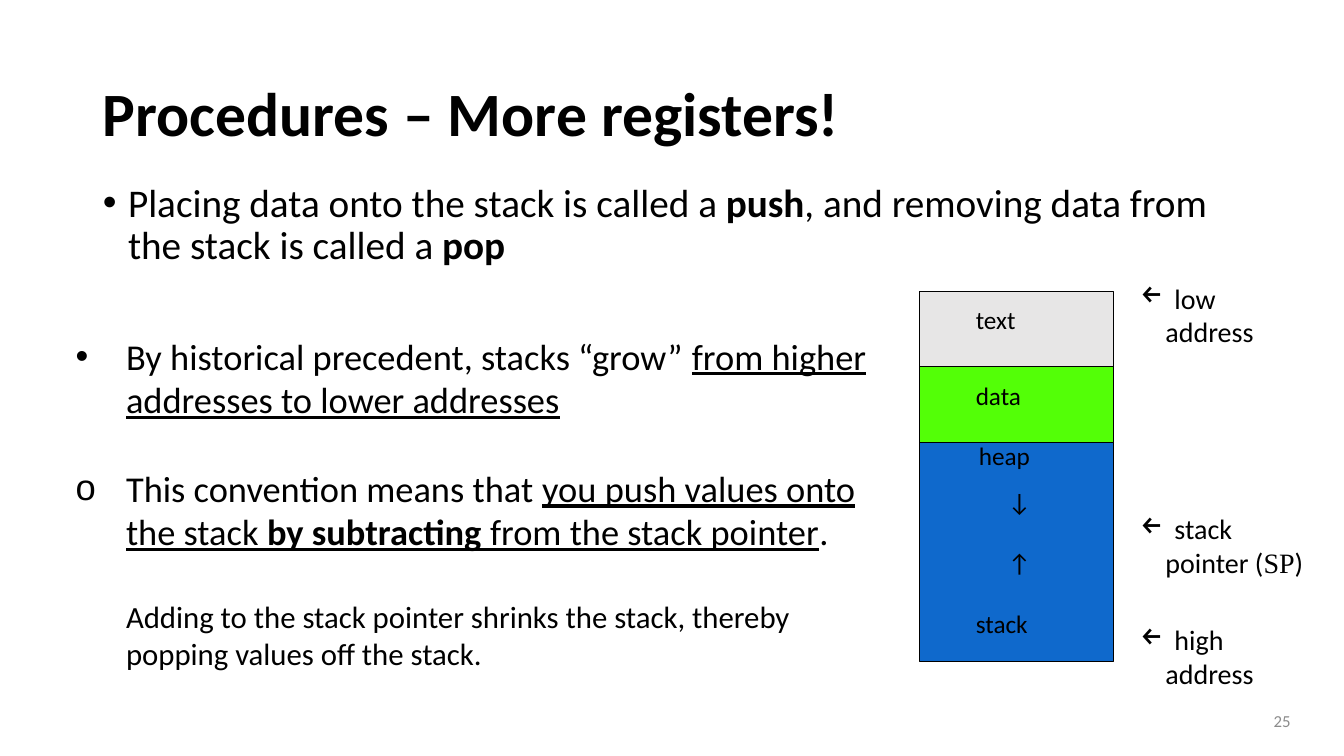
from dataclasses import dataclass

import lxml.etree
import pptx
import pptx.dml.color
import pptx.enum.shapes
import pptx.enum.text
import pptx.oxml.ns
import pptx.util

PX = 9144
BLACK = pptx.dml.color.RGBColor(0x00, 0x00, 0x00)
NUMBER_GREY = pptx.dml.color.RGBColor(0x8C, 0x8C, 0x8C)
TEXT_GREY = pptx.dml.color.RGBColor(0xE7, 0xE6, 0xE6)
DATA_GREEN = pptx.dml.color.RGBColor(0x53, 0xFF, 0x07)
STACK_BLUE = pptx.dml.color.RGBColor(0x0F, 0x69, 0xCC)
LEFT = pptx.enum.text.PP_ALIGN.LEFT
RIGHT = pptx.enum.text.PP_ALIGN.RIGHT
TOP = pptx.enum.text.MSO_ANCHOR.TOP
MIDDLE = pptx.enum.text.MSO_ANCHOR.MIDDLE


@dataclass
class Run:
    text: str
    bold: bool = False
    underline: bool = False
    font: str = "Calibri"


@dataclass
class Para:
    runs: list[Run]
    size: int
    margin: int = 0
    hang: int = 0
    bullet: str = ""
    before: int = 0
    spacing: float = 1.0
    level: int = 0
    align: pptx.enum.text.PP_ALIGN = LEFT
    color: pptx.dml.color.RGBColor = BLACK


@dataclass
class Box:
    left: int
    top: int
    width: int
    height: int


@dataclass
class Segment:
    height: int
    color: pptx.dml.color.RGBColor


@dataclass
class Label:
    text: str
    left: int
    top: int


@dataclass
class Pointer:
    top: int
    first: str
    second: list[Run]


TITLE = [Para([Run("Procedures – More registers!", bold=True)], 44, spacing=0.9)]
PUSH_POP = [
    Para([
        Run("Placing data onto the stack is called a "),
        Run("push", bold=True),
        Run(", and removing data from the stack is called a "),
        Run("pop", bold=True),
    ], 28, margin=25, hang=25, bullet="•", before=10, spacing=0.9),
]
GROWTH = [
    Para([
        Run("By historical precedent, stacks “grow” "),
        Run("from higher addresses to lower addresses", underline=True),
    ], 26, margin=50, hang=50, bullet="•"),
    Para([
        Run("This convention means that "),
        Run("you push values onto the stack ", underline=True),
        Run("by subtracting", bold=True, underline=True),
        Run(" from the stack pointer", underline=True),
        Run("."),
    ], 26, margin=50, hang=50, bullet="o", before=32),
    Para([
        Run("Adding to the stack pointer shrinks the stack, "
            "thereby popping values off the stack."),
    ], 22, margin=50, before=32, level=1),
]
NUMBER = [Para([Run("25")], 12, align=RIGHT, color=NUMBER_GREY)]

MEMORY = Box(912, 289, 192, 367)
SEGMENTS = [Segment(75, TEXT_GREY), Segment(75, DATA_GREEN), Segment(217, STACK_BLUE)]
LABELS = [
    Label("text", 958, 297),
    Label("data", 958, 372),
    Label("heap", 961, 432),
    Label("stack", 958, 599),
]
POINTERS = [
    Pointer(274, "low", [Run("address")]),
    Pointer(503, "stack", [Run("pointer ("), Run("SP", font="Times New Roman"), Run(")")]),
    Pointer(613, "high", [Run("address")]),
]


def place(sp, box: Box) -> None:
    sp.left, sp.top = box.left * PX, box.top * PX
    sp.width, sp.height = box.width * PX, box.height * PX


def write(sp, paras: list[Para], anchor=TOP) -> None:
    tf = sp.text_frame
    tf.word_wrap = True
    tf.auto_size = pptx.enum.text.MSO_AUTO_SIZE.NONE
    tf.vertical_anchor = anchor
    for i, para in enumerate(paras):
        p = tf.add_paragraph() if i else tf.paragraphs[0]
        p.alignment = para.align
        p.level = para.level
        p.line_spacing = para.spacing
        p.space_before = pptx.util.Pt(para.before)
        pPr = p._p.get_or_add_pPr()
        pPr.set("marL", str(para.margin * PX))
        pPr.set("indent", str(-para.hang * PX))
        tag = "a:buChar" if para.bullet else "a:buNone"
        bullet = lxml.etree.SubElement(pPr, pptx.oxml.ns.qn(tag))
        if para.bullet:
            bullet.set("char", para.bullet)
        for run in para.runs:
            r = p.add_run()
            r.text = run.text
            r.font.name = run.font
            r.font.size = pptx.util.Pt(para.size)
            r.font.bold = run.bold
            r.font.underline = run.underline
            r.font.color.rgb = para.color


def add_text(slide, box: Box, paras: list[Para], anchor=TOP) -> None:
    sp = slide.shapes.add_textbox(0, 0, 0, 0)
    place(sp, box)
    write(sp, paras, anchor)


def add_memory(slide) -> None:
    top = MEMORY.top
    for segment in SEGMENTS:
        sp = slide.shapes.add_shape(pptx.enum.shapes.MSO_SHAPE.RECTANGLE, 0, 0, 0, 0)
        place(sp, Box(MEMORY.left, top, MEMORY.width, segment.height))
        sp.shadow.inherit = False
        sp.fill.solid()
        sp.fill.fore_color.rgb = segment.color
        sp.line.color.rgb = BLACK
        sp.line.width = pptx.util.Pt(0.75)
        top += segment.height
    for label in LABELS:
        add_text(slide, Box(label.left, label.top, 104, 57), [Para([Run(label.text)], 18)])
    arrows = [Para([Run("↓")], 18), Para([Run("↑")], 18, before=22)]
    add_text(slide, Box(990, 478, 40, 136), arrows)


def add_pointer(slide, pointer: Pointer) -> None:
    paras = [
        Para([Run(pointer.first)], 20, margin=34, hang=34, bullet="←"),
        Para(pointer.second, 20, margin=25),
    ]
    add_text(slide, Box(1121, pointer.top, 211, 88), paras)


def main() -> None:
    prs = pptx.Presentation()
    prs.slide_width, prs.slide_height = 1333 * PX, 750 * PX
    slide = prs.slides.add_slide(prs.slide_layouts[3])
    title, push_pop, growth = slide.placeholders
    place(title, Box(92, 43, 1150, 145))
    write(title, TITLE, MIDDLE)
    place(push_pop, Box(92, 177, 1150, 109))
    write(push_pop, PUSH_POP)
    place(growth, Box(65, 326, 821, 377))
    write(growth, GROWTH)
    add_memory(slide)
    for pointer in POINTERS:
        add_pointer(slide, pointer)
    add_text(slide, Box(990, 695, 300, 40), NUMBER, MIDDLE)
    prs.save("out.pptx")


if __name__ == "__main__":
    main()
